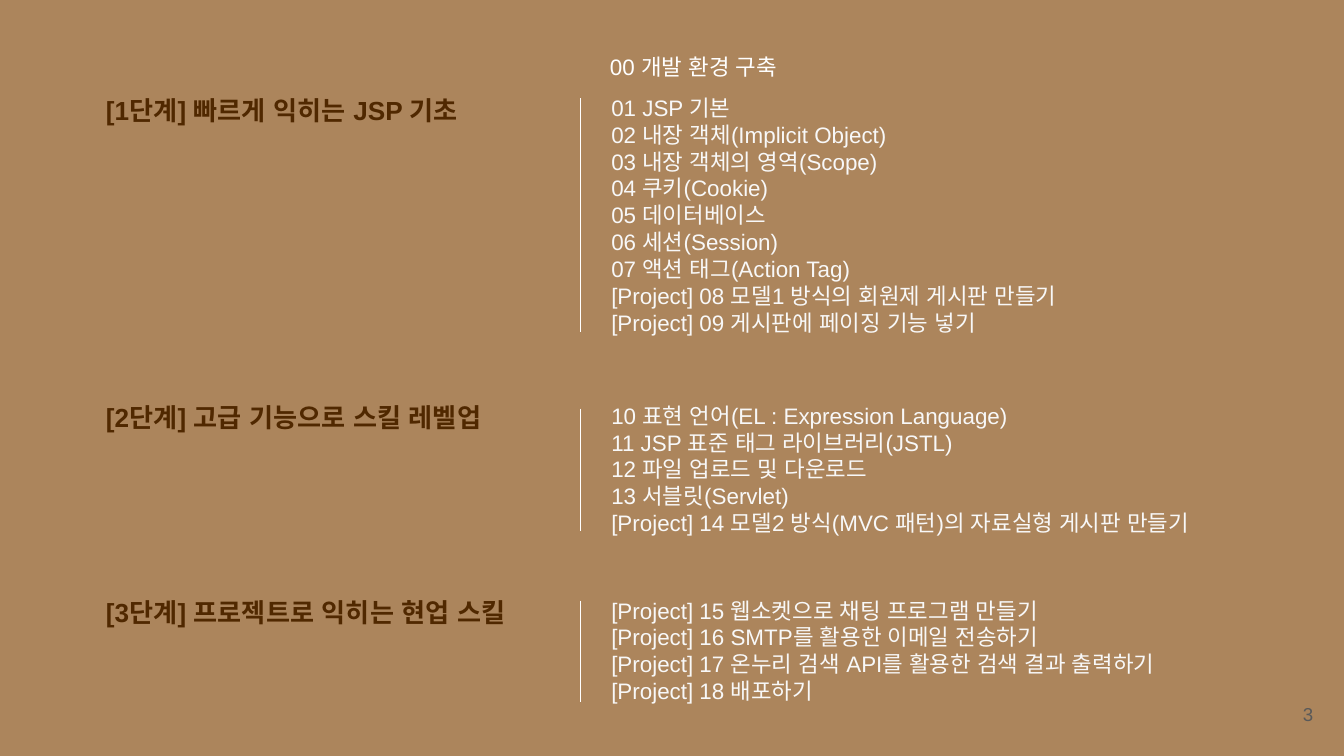
from dataclasses import dataclass

from lxml.etree import SubElement
from pptx import Presentation
from pptx.dml.color import RGBColor
from pptx.enum.shapes import MSO_CONNECTOR
from pptx.enum.text import MSO_ANCHOR, MSO_AUTO_SIZE as AUTO, PP_ALIGN
from pptx.oxml.ns import qn
from pptx.util import Inches, Pt


@dataclass(frozen=True)
class Theme:
    font: str = "Arial"
    background: str = "AC855C"
    heading: str = "502800"
    chapter: str = "F8F8F8"
    white: str = "FFFFFF"
    number: str = "595959"
    heading_size: int = 14
    chapter_size: int = 12
    number_size: int = 10
    rule_width: float = 0.75


@dataclass(frozen=True)
class Stage:
    heading: str
    heading_cols: float
    chapters: tuple[str, ...]
    chapter_cols: float
    row: float
    rows: float
    rule_start: float
    rule_end: float


THEME = Theme()
COLUMNS, ROWS = 100, 56.25
CELL = Inches(0.1)
HEADING_COL, RULE_COL, CHAPTER_COL = 6.9, 43.2, 44.5
HEADING_ROWS = 3.4

STAGES = (
    Stage("[1단계] 빠르게 익히는 JSP 기초", 30.1, (
        "01 JSP 기본",
        "02 내장 객체(Implicit Object)",
        "03 내장 객체의 영역(Scope)",
        "04 쿠키(Cookie)",
        "05 데이터베이스",
        "06 세션(Session)",
        "07 액션 태그(Action Tag)",
        "[Project] 08 모델1 방식의 회원제 게시판 만들기",
        "[Project] 09 게시판에 페이징 기능 넣기",
    ), 47.2, 6.5, 19.5, 7.3, 24.7),
    Stage("[2단계] 고급 기능으로 스킬 레벨업", 32.8, (
        "10 표현 언어(EL : Expression Language)",
        "11 JSP 표준 태그 라이브러리(JSTL)",
        "12 파일 업로드 및 다운로드",
        "13 서블릿(Servlet)",
        "[Project] 14 모델2 방식(MVC 패턴)의 자료실형 게시판 만들기",
    ), 53.1, 29.4, 11.1, 30.4, 39.5),
    Stage("[3단계] 프로젝트로 익히는 현업 스킬", 34.8, (
        "[Project] 15 웹소켓으로 채팅 프로그램 만들기",
        "[Project] 16 SMTP를 활용한 이메일 전송하기",
        "[Project] 17 온누리 검색 API를 활용한 검색 결과 출력하기",
        "[Project] 18 배포하기",
    ), 47.2, 43.9, 9.1, 44.7, 52.2),
)


def grid(cells: float) -> int:
    return round(cells * CELL)


def add_text(s, lines: tuple[str, ...], col: float, row: float, cols: float,
             rows: float, *, size: int, color: str, bold: bool = False,
             align=PP_ALIGN.LEFT, anchor=MSO_ANCHOR.TOP,
             auto=AUTO.SHAPE_TO_FIT_TEXT, inset: float = 0.5) -> None:
    tf = s.shapes.add_textbox(*map(grid, (col, row, cols, rows))).text_frame
    tf.word_wrap = True
    tf.auto_size = auto
    tf.vertical_anchor = anchor
    tf.margin_top = tf.margin_bottom = grid(inset)
    for i, line in enumerate(lines):
        p = tf.add_paragraph() if i else tf.paragraphs[0]
        p.alignment = align
        r = p.add_run()
        r.text = line
        r.font.name = THEME.font
        r.font.size = Pt(size)
        r.font.bold = bold
        r.font.color.rgb = RGBColor.from_string(color)
        for script in ("a:ea", "a:cs"):
            SubElement(r._r.get_or_add_rPr(), qn(script), typeface=THEME.font)


def add_rule(s, col: float, start: float, end: float) -> None:
    rule = s.shapes.add_connector(
        MSO_CONNECTOR.STRAIGHT, *map(grid, (col, start, col, end)))
    rule.line.color.rgb = RGBColor.from_string(THEME.white)
    rule.line.width = Pt(THEME.rule_width)
    SubElement(rule._element.spPr, qn("a:effectLst"))


def add_stage(s, stage: Stage) -> None:
    add_text(s, (stage.heading,), HEADING_COL, stage.row, stage.heading_cols,
             HEADING_ROWS, size=THEME.heading_size, color=THEME.heading, bold=True)
    add_text(s, stage.chapters, CHAPTER_COL, stage.row, stage.chapter_cols,
             stage.rows, size=THEME.chapter_size, color=THEME.chapter)
    add_rule(s, RULE_COL, stage.rule_start, stage.rule_end)


def main() -> None:
    prs = Presentation()
    prs.slide_width, prs.slide_height = grid(COLUMNS), grid(ROWS)
    s = prs.slides.add_slide(prs.slide_layouts[6])
    s.background.fill.solid()
    s.background.fill.fore_color.rgb = RGBColor.from_string(THEME.background)
    add_text(s, ("3",), 92.7, 51, 6, 4.3, size=THEME.number_size,
             color=THEME.number, align=PP_ALIGN.RIGHT,
             anchor=MSO_ANCHOR.MIDDLE, auto=AUTO.NONE, inset=1)
    for stage in STAGES:
        add_stage(s, stage)
    add_text(s, ("00 개발 환경 구축",), 44.4, 3.5, 23.1, 3,
             size=THEME.chapter_size, color=THEME.white)
    prs.save("out.pptx")


main()
